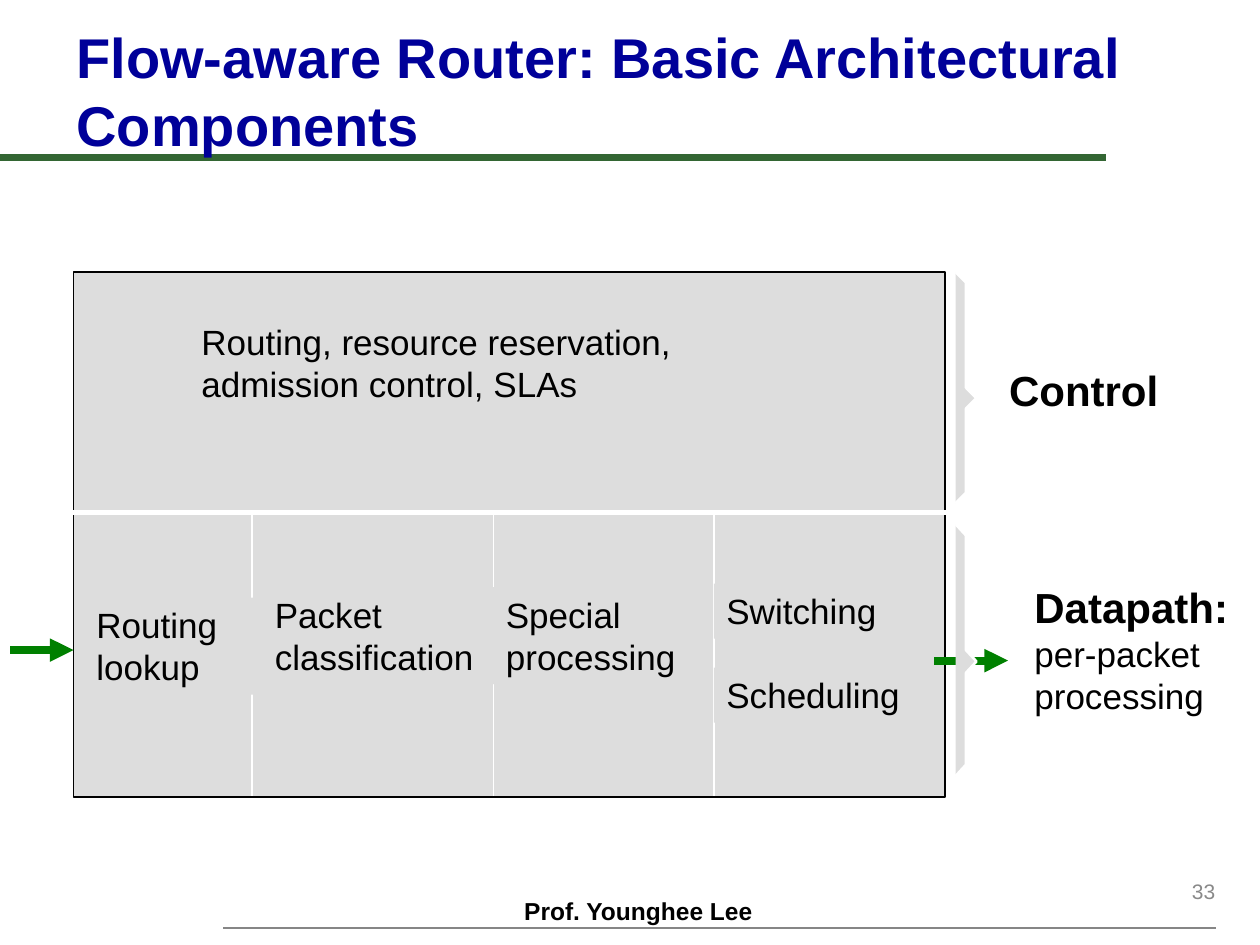
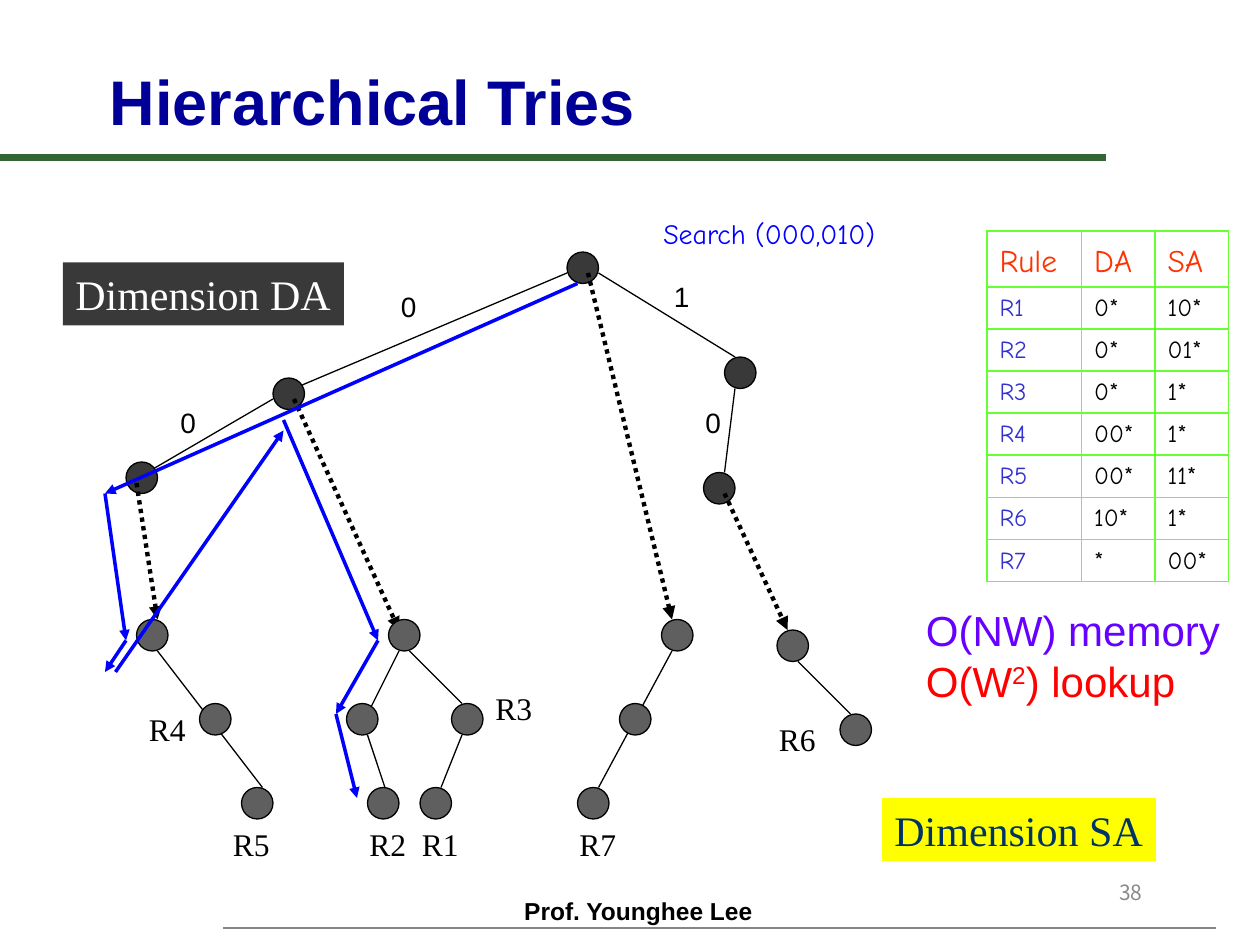
from dataclasses import dataclass
from itertools import pairwise

from lxml.etree import SubElement
from pptx import Presentation
from pptx.dml.color import RGBColor
from pptx.enum.dml import MSO_LINE
from pptx.enum.shapes import MSO_CONNECTOR, MSO_SHAPE
from pptx.enum.text import MSO_ANCHOR, MSO_AUTO_SIZE, PP_ALIGN
from pptx.oxml import parse_xml
from pptx.oxml.ns import nsdecls, qn
from pptx.util import Pt


@dataclass(frozen=True)
class Theme:
    sans: str = "Arial"
    serif: str = "Times New Roman"
    hand: str = "Comic Neue"
    number_font: str = "Noto Sans CJK KR"
    black: str = "000000"
    white: str = "FFFFFF"
    title: str = "000099"
    title_rule: str = "336633"
    footer_rule: str = "868686"
    page_number: str = "898989"
    panel: str = "DDDDDD"
    flow: str = "008000"
    da_node: str = "393939"
    sa_node: str = "5F5F5F"
    search: str = "0000FF"
    sa_fill: str = "FFFF00"
    sa_text: str = "003366"
    memory: str = "6600FF"
    lookup: str = "FF0000"
    table_border: str = "66FF33"
    table_head: str = "FF3300"
    rule_name: str = "3333CC"
    small: int = 12
    cell: int = 14
    digit: int = 16
    leaf: int = 18
    body: int = 20
    heading: int = 24


THEME = Theme()
NODE_SIZE = 18


def color(code):
    return RGBColor.from_string(code)


def set_font(font, size, code, name=THEME.sans, bold=False):
    font.name, font.size, font.bold = name, Pt(size), bold
    font.color.rgb = color(code)


class SlideBuilder:
    def __init__(self, theme):
        self.theme = theme
        self.deck = Presentation()
        self.deck.slide_width, self.deck.slide_height = Pt(720), Pt(540)
        self.page = None

    def new_page(self, title, title_box, title_size, number, number_place, number_font):
        theme = self.theme
        self.page = self.deck.slides.add_slide(self.deck.slide_layouts[5])
        self.line((0, 90), (632, 90), theme.title_rule, 4)
        self.line((127.5, 530.5), (695, 530.5), theme.footer_rule, 1)
        self.text((292.5, 508.5, 150, 24), "Prof. Younghee Lee", theme.cell, bold=True)
        box = self.text((*number_place, 150, 36), number, theme.small,
                        theme.page_number, number_font, wrap=True)
        box.text_frame.vertical_anchor = MSO_ANCHOR.MIDDLE
        box.text_frame.paragraphs[0].alignment = PP_ALIGN.RIGHT
        self.title(title, title_box, title_size)

    def title(self, text, bounds, size):
        """Place the title above the green rule in the stacking order."""
        box = self.page.shapes.title
        box.left, box.top, box.width, box.height = map(Pt, bounds)
        frame = box.text_frame
        frame.text = text
        frame.auto_size = MSO_AUTO_SIZE.NONE
        frame.word_wrap = True
        frame.vertical_anchor = MSO_ANCHOR.BOTTOM
        para = frame.paragraphs[0]
        para.alignment = PP_ALIGN.LEFT
        set_font(para.font, size, self.theme.title, bold=True)
        self.page.shapes._spTree.append(box._element)

    def line(self, start, end, code, width, arrow=False, dotted=False):
        link = self.page.shapes.add_connector(
            MSO_CONNECTOR.STRAIGHT, *map(Pt, (*start, *end)))
        link.line.color.rgb = color(code)
        link.line.width = Pt(width)
        if dotted:
            link.line.dash_style = MSO_LINE.ROUND_DOT
        if arrow:
            SubElement(link.line._get_or_add_ln(), qn("a:tailEnd"), type="triangle")
        SubElement(link._element.spPr, qn("a:effectLst"))

    def shape(self, kind, bounds, fill):
        shape = self.page.shapes.add_shape(kind, *map(Pt, bounds))
        self.paint(shape, fill, self.theme.black, 0.75)

    def paint(self, shape, fill, outline, width):
        shape.shadow.inherit = False
        shape.fill.solid()
        shape.fill.fore_color.rgb = color(fill)
        shape.line.color.rgb = color(outline)
        shape.line.width = Pt(width)

    def node(self, place, fill):
        self.shape(MSO_SHAPE.OVAL, (*place, NODE_SIZE, NODE_SIZE), fill)

    def bracket(self, top, middle, bottom, bevel):
        """Draw a flat brace whose point is at the middle height."""
        left, inner, tip = 546, 552, 558
        corners = [(inner, top + bevel), (inner, middle - bevel), (tip, middle),
                   (inner, middle + bevel), (inner, bottom - bevel), (left, bottom)]
        outline = self.page.shapes.build_freeform(Pt(left), Pt(top))
        outline.add_line_segments([(Pt(x), Pt(y)) for x, y in corners], close=False)
        self.paint(outline.convert_to_shape(), self.theme.panel, self.theme.white, 1.5)

    def text(self, bounds, text, size, code=THEME.black, name=THEME.sans,
             bold=False, fill=None, wrap=False):
        box = self.page.shapes.add_textbox(*map(Pt, bounds))
        if fill:
            box.fill.solid()
            box.fill.fore_color.rgb = color(fill)
        frame = box.text_frame
        frame.word_wrap = wrap
        frame.auto_size = MSO_AUTO_SIZE.SHAPE_TO_FIT_TEXT
        frame.text = text
        for para in frame.paragraphs:
            set_font(para.font, size, code, name, bold)
        return box

    def table(self, place, rows, widths, head_height, row_height):
        theme = self.theme
        heights = [head_height] + [row_height] * (len(rows) - 1)
        frame = self.page.shapes.add_table(
            len(rows), len(widths), *map(Pt, (*place, sum(widths), sum(heights))))
        grid = frame.table
        grid.first_row = grid.horz_banding = False
        for column, width in zip(grid.columns, widths):
            column.width = Pt(width)
        for row_index, (values, height) in enumerate(zip(rows, heights)):
            grid.rows[row_index].height = Pt(height)
            for column_index, value in enumerate(values):
                cell = grid.cell(row_index, column_index)
                cell.text = value
                cell.vertical_anchor = MSO_ANCHOR.BOTTOM
                cell.fill.background()
                self.cell_border(cell)
                if row_index == 0:
                    size, code = theme.leaf, theme.table_head
                else:
                    size = theme.cell
                    code = theme.black if column_index else theme.rule_name
                set_font(cell.text_frame.paragraphs[0].font, size, code, theme.hand)

    def cell_border(self, cell):
        properties = cell._tc.get_or_add_tcPr()
        for index, side in enumerate("LRTB"):
            properties.insert(index, parse_xml(
                f'<a:ln{side} {nsdecls("a")} w="{Pt(1)}"><a:solidFill>'
                f'<a:srgbClr val="{self.theme.table_border}"/></a:solidFill></a:ln{side}>'))


def build_router(slides):
    theme = slides.theme
    slides.new_page("Flow-aware Router: Basic Architectural Components",
                    (36.5, 3.5, 666, 90), 32, "33", (551.5, 491), theme.sans)
    slides.shape(MSO_SHAPE.RECTANGLE, (42, 155.5, 498, 300), theme.panel)
    slides.line((18, 293), (564, 293), theme.white, 3)
    for x in (144, 282, 408):
        slides.line((x, 293), (x, 455), theme.white, 0.75)

    stages = [
        ("Routing, resource reservation, admission control, SLAs", (108, 179.5, 378, 55.5), True),
        ("Routing lookup", (48, 341.5, 120, 55.5), True),
        ("Special processing", (282, 335.5, 118, 55.5), True),
        ("Packet classification", (150, 335.5, 138, 55.5), True),
        ("Switching", (408, 333.5, 101, 31.5), False),
        ("Scheduling", (408, 381.5, 114.5, 31.5), False),
    ]
    for text, bounds, wrap in stages:
        slides.text(bounds, text, theme.body, fill=theme.panel, wrap=wrap)

    for left, right, y in ((6, 42, 371.5), (534, 576, 377.5)):
        slides.line((left, y), (right, y), theme.flow, 4.5, arrow=True)
    slides.bracket(155.5, 227.5, 287.5, 6)
    slides.bracket(299.5, 378, 443.5, 6.5)

    slides.text((569.5, 205, 101, 36), "Control", theme.heading, bold=True)
    datapath = slides.text((584, 329, 126.5, 85), "Datapath:\nper-packet\nprocessing", theme.body)
    set_font(datapath.text_frame.paragraphs[0].font, theme.heading, theme.black, bold=True)


def build_tries(slides):
    theme = slides.theme
    slides.new_page("Hierarchical Tries", (55.5, 31.5, 587, 51), 36,
                    "38", (510, 492), theme.number_font)

    da_edges = [((324, 156), (168, 222)), ((342, 156), (420, 204)),
                ((156, 228), (84, 270)), ((420, 222), (414, 270))]
    da_nodes = [(324, 144), (156, 216), (414, 204), (72, 264), (402, 270)]
    next_tries = [((78, 276), (90, 354)), ((168, 228), (228, 360)),
                  ((414, 282), (450, 360)), ((336, 156), (384, 354))]
    sa_edges = [((90, 372), (150, 450)), ((384, 372), (342, 450)),
                ((234, 372), (264, 402)), ((228, 372), (210, 408)),
                ((264, 420), (252, 450)), ((210, 420), (222, 456)),
                ((456, 378), (486, 408))]
    sa_nodes = [(78, 354), (114, 402), (138, 450),
                (222, 354), (198, 402), (258, 402), (210, 450), (240, 450),
                (378, 354), (354, 402), (330, 450),
                (444, 360), (480, 408)]
    for edge in da_edges:
        slides.line(*edge, theme.black, 0.75)
    for place in da_nodes:
        slides.node(place, theme.da_node)
    for edge in next_tries:
        slides.line(*edge, theme.black, 2.5, arrow=True, dotted=True)
    for edge in sa_edges:
        slides.line(*edge, theme.black, 0.75)
    for place in sa_nodes:
        slides.node(place, theme.sa_node)

    bits = [("0", 222, 162), ("1", 378, 156), ("0", 96, 228), ("0", 396, 228)]
    for bit, x, y in bits:
        slides.text((x, y, 24.5, 31), bit, theme.digit)
    leaves = [("R4", 78, 402), ("R5", 126, 468), ("R2", 204, 468), ("R1", 234, 468),
              ("R3", 276, 390), ("R7", 324, 468), ("R6", 438, 408)]
    for rule, x, y in leaves:
        slides.text((x, y, 35.5, 29), rule, theme.leaf, name=theme.serif)

    search_paths = [[(330, 162), (60, 282), (72, 366), (60, 384)],
                    [(66, 384), (162, 246)],
                    [(162, 240), (216, 366), (192, 408), (204, 456)]]
    for steps in search_paths:
        for start, end in pairwise(steps):
            slides.line(start, end, theme.search, 2, arrow=True)
    slides.text((372, 120, 178, 31), "Search (000,010)", theme.digit, theme.search, theme.hand)

    slides.text((36, 150, 160.5, 36), "Dimension DA", theme.heading, theme.white,
                theme.serif, fill=theme.da_node)
    slides.text((504, 456, 156.5, 36), "Dimension SA", theme.heading, theme.sa_text,
                theme.serif, fill=theme.sa_fill)

    rules = [("Rule", "DA", "SA"), ("R1", "0*", "10*"), ("R2", "0*", "01*"),
             ("R3", "0*", "1*"), ("R4", "00*", "1*"), ("R5", "00*", "11*"),
             ("R6", "10*", "1*"), ("R7", "*", "00*")]
    slides.table((564, 132), rules, (54, 42, 42), 32, 24)

    costs = slides.text((522, 342, 198, 65.5), "O(NW) memory", theme.heading,
                        theme.memory, wrap=True)
    lookup = costs.text_frame.add_paragraph()
    for part in ("O(W", "2", ") lookup"):
        span = lookup.add_run()
        span.text = part
        if part == "2":
            span._r.get_or_add_rPr().set("baseline", "30000")
    set_font(lookup.font, theme.heading, theme.lookup)


def main():
    slides = SlideBuilder(THEME)
    build_router(slides)
    build_tries(slides)
    slides.deck.save("out.pptx")


if __name__ == "__main__":
    main()
